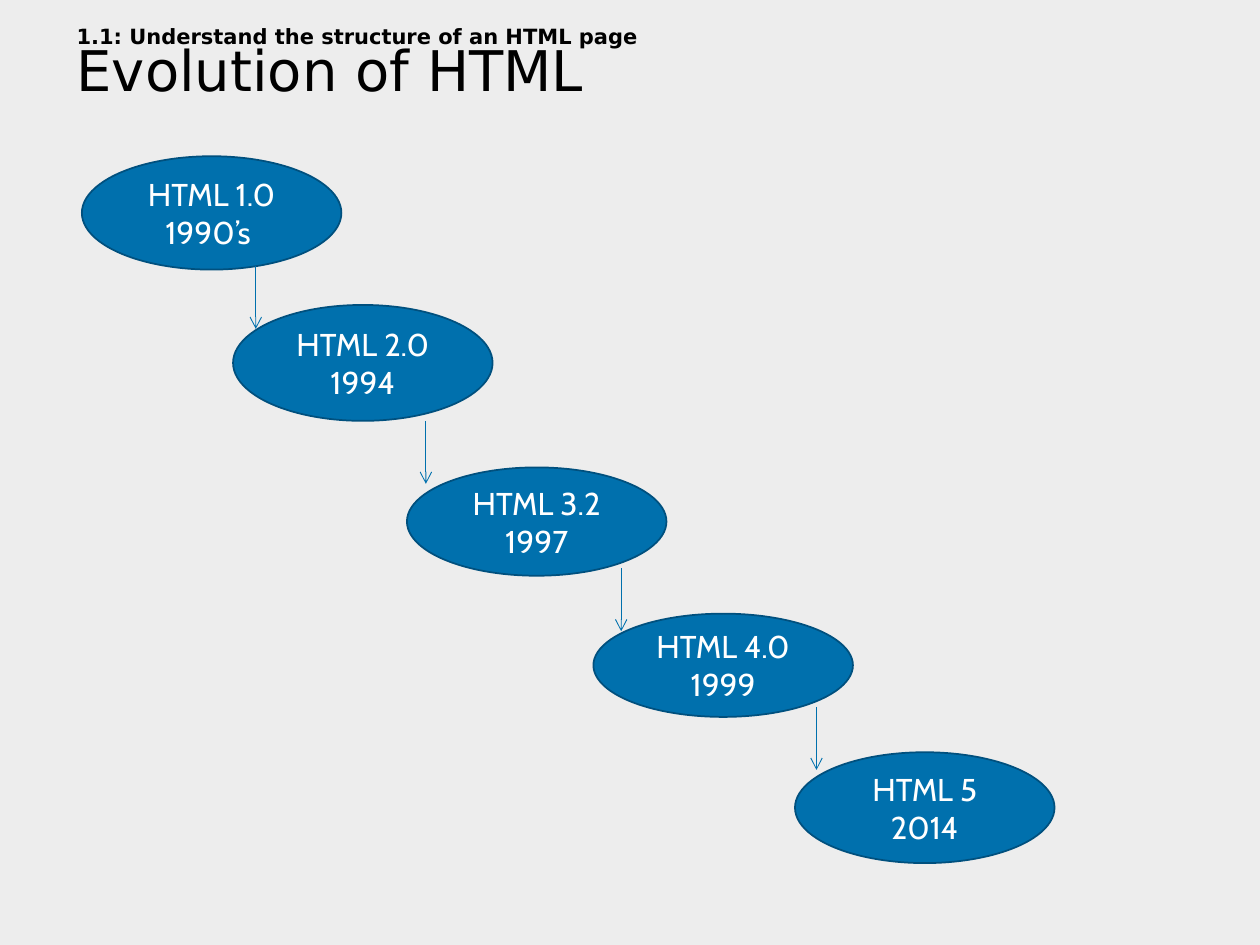
from lxml import etree
from pptx import Presentation
from pptx.dml.color import RGBColor
from pptx.enum.shapes import MSO_CONNECTOR, MSO_SHAPE
from pptx.enum.text import MSO_ANCHOR, PP_ALIGN
from pptx.oxml.ns import qn
from pptx.util import Inches, Pt

OVAL = MSO_SHAPE.OVAL
STRAIGHT = MSO_CONNECTOR.STRAIGHT
MIDDLE = MSO_ANCHOR.MIDDLE
CENTER = PP_ALIGN.CENTER

GREY = RGBColor(0xED, 0xED, 0xED)
BLACK = RGBColor(0, 0, 0)
WHITE = RGBColor(0xFF, 0xFF, 0xFF)
BLUE = RGBColor(0x00, 0x70, 0xAD)
DARK_BLUE = RGBColor(0x00, 0x50, 0x7E)

OVAL_WIDTH = 2.06
ARROW_LENGTH = 0.5

# version, year, left, top, height
VERSIONS = [
    ("HTML 1.0", "1990’s ", 0.65, 1.24, 0.90),
    ("HTML 2.0", "1994", 1.85, 2.42, 0.92),
    ("HTML 3.2", "1997", 3.23, 3.71, 0.86),
    ("HTML 4.0", "1999", 4.71, 4.87, 0.82),
    ("HTML 5", "2014", 6.31, 5.97, 0.88),
]
ARROW_STARTS = [(2.03, 2.11), (3.38, 3.34), (4.93, 4.51), (6.48, 5.61)]


def add_title(s, left, top, width, height, section, title):
    sp = s.shapes.add_textbox(Inches(left), Inches(top), Inches(width), Inches(height))
    tf = sp.text_frame
    tf.word_wrap = True
    tf.vertical_anchor = MIDDLE
    p = tf.paragraphs[0]
    p.line_spacing = 0.8
    p.font.name = "DejaVu Sans"
    p.font.color.rgb = BLACK
    r = p.add_run()
    r.text = section
    r.font.size = Pt(12)
    r.font.bold = True
    p.add_line_break()
    r = p.add_run()
    r.text = title
    r.font.size = Pt(32)


def add_version(s, left, top, width, height, version, year):
    sp = s.shapes.add_shape(OVAL, Inches(left), Inches(top), Inches(width), Inches(height))
    sp.shadow.inherit = False
    sp.fill.solid()
    sp.fill.fore_color.rgb = BLUE
    sp.line.color.rgb = DARK_BLUE
    sp.line.width = Pt(1)
    tf = sp.text_frame
    tf.word_wrap = True
    tf.vertical_anchor = MIDDLE
    tf.text = f"{version}\n{year}"
    for p in tf.paragraphs:
        p.alignment = CENTER
        p.font.name = "Cabin"
        p.font.size = Pt(18)
        p.font.color.rgb = WHITE


def add_down_arrow(s, x, top, length):
    arrow = s.shapes.add_connector(
        STRAIGHT, Inches(x), Inches(top), Inches(x), Inches(top + length))
    arrow.line.color.rgb = BLUE
    arrow.line.width = Pt(0.5)
    etree.SubElement(arrow.line._get_or_add_ln(), qn("a:tailEnd"), type="arrow")
    etree.SubElement(arrow._element.spPr, qn("a:effectLst"))


def main():
    prs = Presentation()
    prs.slide_width = Inches(10)
    prs.slide_height = Inches(7.5)
    s = prs.slides.add_slide(prs.slide_layouts[6])
    s.background.fill.solid()
    s.background.fill.fore_color.rgb = GREY

    add_title(s, 0.51, 0.13, 8.92, 0.78,
              "1.1: Understand the structure of an HTML page", "Evolution of HTML")
    for version, year, left, top, height in VERSIONS:
        add_version(s, left, top, OVAL_WIDTH, height, version, year)
    for x, top in ARROW_STARTS:
        add_down_arrow(s, x, top, ARROW_LENGTH)

    prs.save("out.pptx")


if __name__ == "__main__":
    main()
